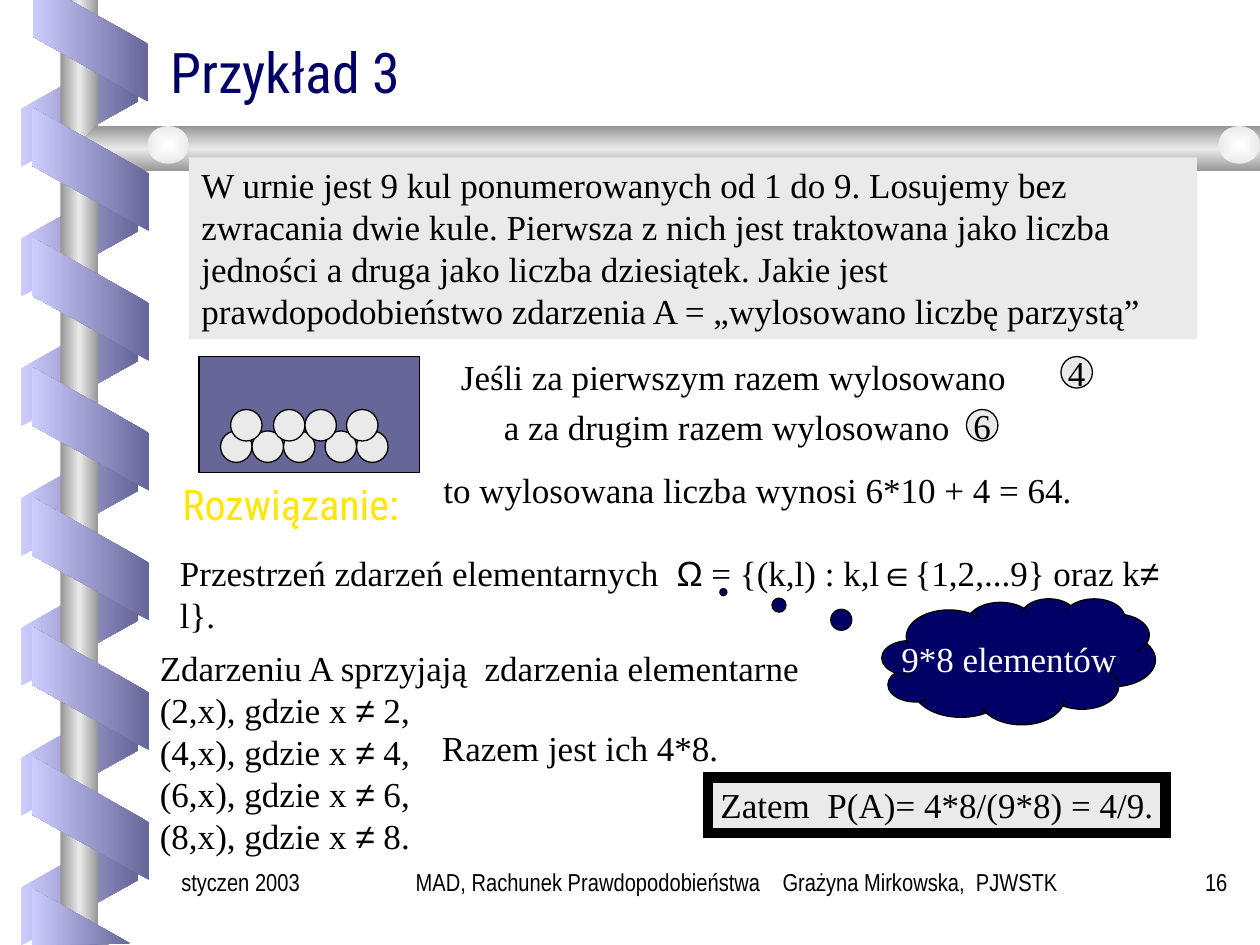
from dataclasses import dataclass
from itertools import groupby

from pptx import Presentation
from pptx.dml.color import RGBColor
from pptx.enum.shapes import MSO_SHAPE as Preset
from pptx.enum.text import MSO_ANCHOR as Anchor, PP_ALIGN as Align
from pptx.oxml import parse_xml
from pptx.oxml.ns import nsdecls, qn
from pptx.util import Inches, Pt


@dataclass(frozen=True)
class Theme:
    navy: str = "000066"
    black: str = "000000"
    white: str = "FFFFFF"
    pale: str = "EAEAEA"
    violet: str = "666699"
    lilac: str = "CCCCFF"
    steel: str = "969696"
    pearl: str = "FEFFFF"
    yellow: str = "FFE701"
    serif: str = "Times New Roman"
    symbol: str = "Arial"
    heading: str = "Roboto Condensed"
    footer: str = "Arial Narrow"
    title_size: int = 32
    subtitle_size: int = 24
    body_size: int = 20
    footer_size: int = 14


THEME = Theme()
SYMBOLS = "Ω∈≠"


def write_text(frame, text, size=THEME.body_size, font=THEME.serif, color=THEME.black,
               align=Align.LEFT, anchor=Anchor.TOP, wrap=True, spacing=None):
    frame.word_wrap = wrap
    frame.vertical_anchor = anchor
    paragraph = frame.paragraphs[0]
    paragraph.alignment = align
    if spacing:
        paragraph.line_spacing = spacing
    for index, line in enumerate(text.split("\n")):
        if index:
            paragraph.add_line_break()
        for is_symbol, letters in groupby(line, key=lambda letter: letter in SYMBOLS):
            run = paragraph.add_run()
            run.text = "".join(letters)
            run.font.size = Pt(size)
            run.font.name = THEME.symbol if is_symbol else font
            run.font.color.rgb = RGBColor.from_string(color)


class SlideBuilder:
    def __init__(self, slide, theme):
        self.slide = slide
        self.theme = theme

    def group(self):
        return self.slide.shapes.add_group_shape()

    def finish(self, shape, fill, line_width=0):
        shape.shadow.inherit = False
        shape.fill.solid()
        shape.fill.fore_color.rgb = RGBColor.from_string(fill)
        if line_width:
            shape.line.color.rgb = RGBColor.from_string(self.theme.black)
            shape.line.width = Pt(line_width)
            shape._element.spPr.find(qn("a:ln")).append(
                parse_xml(f'<a:miter {nsdecls("a")} lim="800000"/>'))
        else:
            shape.line.fill.background()
        return shape

    def gradient(self, shape, colors, angle=None):
        last = len(colors) - 1
        stops = "".join(
            f'<a:gs pos="{index * 100000 // last}"><a:srgbClr val="{color}"/></a:gs>'
            for index, color in enumerate(colors))
        if angle is None:
            shade = ('<a:path path="rect"><a:fillToRect l="50000" t="50000" '
                     'r="50000" b="50000"/></a:path>')
        else:
            shade = f'<a:lin ang="{angle * 60000}" scaled="1"/>'
        properties = shape._element.spPr
        properties.replace(properties.find(qn("a:solidFill")), parse_xml(
            f'<a:gradFill {nsdecls("a")} rotWithShape="0">'
            f'<a:gsLst>{stops}</a:gsLst>{shade}</a:gradFill>'))

    def shape(self, preset, left, top, width, height, fill, line_width=0, parent=None):
        shapes = (parent or self.slide).shapes
        shape = shapes.add_shape(preset, Inches(left), Inches(top),
                                 Inches(width), Inches(height))
        return self.finish(shape, fill, line_width)

    def outline(self, points, fill, parent=None):
        corners = [(Inches(x), Inches(y)) for x, y in points]
        builder = (parent or self.slide).shapes.build_freeform(*corners[0])
        builder.add_line_segments(corners[1:], close=True)
        return self.finish(builder.convert_to_shape(), fill)

    def ribbon(self, left, top, rotation, colors, parent, flipped=False):
        shape = self.shape(Preset.PARALLELOGRAM, left, top, 0.98, 0.93, colors[0],
                           parent=parent)
        shape.adjustments[0] = 0.56
        shape.rotation = rotation
        if flipped:
            shape._element.spPr.xfrm.set("flipH", "1")
        self.gradient(shape, colors, 180)

    def ball(self, left, top, parent=None):
        return self.shape(Preset.OVAL, left, top, 0.25, 0.25, self.theme.pale, 0.75, parent)

    def text(self, text, left, top, width, height, **style):
        box = self.slide.shapes.add_textbox(Inches(left), Inches(top),
                                            Inches(width), Inches(height))
        write_text(box.text_frame, text, **style)

    def title(self, text, left, top, width, height, **style):
        title = self.slide.shapes.title
        title.left, title.top = Inches(left), Inches(top)
        title.width, title.height = Inches(width), Inches(height)
        write_text(title.text_frame, text, **style)


def draw_background(builder):
    theme = builder.theme
    metal = (theme.steel, theme.pale, theme.steel)
    front_colors = (theme.violet, theme.lilac)
    step = 1.03

    back = builder.group()
    for index in range(7):
        builder.ribbon(0.14, 0.37 + index * step, 90, front_colors[::-1], back, flipped=True)

    pole = builder.shape(Preset.RECTANGLE, 0.48, 0, 0.3, 7.5, theme.steel)
    builder.gradient(pole, metal, 180)
    bar = builder.outline([(10, 1), (0.76, 1), (0.6, 1.18), (0.76, 1.36), (10, 1.36)],
                          theme.steel)
    builder.gradient(bar, metal, 90)
    for left in (1.17, 9.67):
        knob = builder.shape(Preset.OVAL, left, 1, 0.33, 0.3, theme.pale)
        builder.gradient(knob, (theme.pearl, theme.pale))

    front = builder.group()
    for index in range(6):
        builder.ribbon(0.23, 0.88 + index * step, 270, front_colors, front)
    ribbon_ends = (
        [(0.26, 0), (0.26, 0.29), (1.18, 0.81), (1.18, 0.35), (0.55, 0)],
        [(1.04, 7.49), (0.25, 7.05), (0.25, 7.5)],
    )
    for points in ribbon_ends:
        builder.gradient(builder.outline(points, theme.violet, front), front_colors, 180)


def draw_urn(builder):
    urn = builder.group()
    builder.shape(Preset.RECTANGLE, 1.58, 2.83, 1.75, 0.92, builder.theme.violet, 0.75, urn)
    rows = {3.42: (1.75, 2, 2.25, 2.58, 2.83), 3.25: (1.83, 2.17, 2.42, 2.75)}
    for top, lefts in rows.items():
        for left in lefts:
            builder.ball(left, top, urn)
    for digit, left, top in (("4", 8.42, 2.83), ("6", 7.67, 3.25)):
        write_text(builder.ball(left, top).text_frame, digit, align=Align.CENTER,
                   anchor=Anchor.MIDDLE, wrap=False)


def draw_content(builder):
    theme = builder.theme
    builder.title("Przykład 3", 1.25, 0.25, 8.5, 0.63, size=theme.title_size,
                  font=theme.heading, color=theme.navy, anchor=Anchor.BOTTOM, spacing=0.8)
    task = builder.shape(Preset.RECTANGLE, 1.5, 1.25, 8, 1.44, theme.pale)
    write_text(task.text_frame,
               "W urnie jest 9 kul ponumerowanych od 1 do 9. Losujemy bez zwracania dwie kule. "
               "Pierwsza z nich jest traktowana jako liczba jedności a druga jako liczba "
               "dziesiątek. Jakie jest prawdopodobieństwo zdarzenia A = "
               "„wylosowano liczbę parzystą”")
    draw_urn(builder)
    builder.text("Jeśli za pierwszym razem wylosowano", 3.56, 2.77, 4.61, 0.44)
    builder.text("a za drugim razem wylosowano", 3.9, 3.17, 3.76, 0.44)
    builder.text("to wylosowana liczba wynosi 6*10 + 4 = 64.", 3.42, 3.67, 5.25, 0.44)
    builder.text("Przestrzeń zdarzeń elementarnych  Ω = {(k,l) : k,l∈{1,2,...9} oraz k≠ l}.",
                 1.33, 4.33, 8.25, 0.77)

    cloud = builder.shape(Preset.CLOUD_CALLOUT, 7, 4.75, 2.17, 1, theme.navy, 0.75)
    cloud.adjustments[0], cloud.adjustments[1] = -1.08, -0.55
    write_text(cloud.text_frame, "9*8 elementów", color=theme.white, align=Align.CENTER,
               anchor=Anchor.MIDDLE, wrap=False)

    cases = ",\n".join(f"({digit},x), gdzie x ≠ {digit}" for digit in (2, 4, 6, 8))
    builder.text(f"Zdarzeniu A sprzyjają  zdarzenia elementarne {cases}.", 1.17, 5.08, 5.33, 1.77)
    builder.text("Razem jest ich 4*8.", 3.41, 5.72, 2.7, 0.44)
    result = builder.shape(Preset.RECTANGLE, 5.62, 6.17, 3.63, 0.44, theme.pale, 6)
    write_text(result.text_frame, "Zatem  P(A)= 4*8/(9*8) = 4/9.", wrap=False)
    builder.text("Rozwiązanie:", 1.35, 3.75, 2.2, 0.58, size=theme.subtitle_size,
                 font=theme.heading, color=theme.yellow)

    footers = (
        ("MAD, Rachunek Prawdopodobieństwa    Grażyna Mirkowska,  PJWSTK",
         2.56, 6.58, Align.CENTER),
        ("16", 9, 0.84, Align.RIGHT),
        ("styczen 2003", 1.34, 1.41, Align.LEFT),
    )
    for text, left, width, align in footers:
        builder.text(text, left, 6.83, width, 0.5, size=theme.footer_size,
                     font=theme.footer, align=align)


def main():
    presentation = Presentation()
    presentation.slide_width, presentation.slide_height = Inches(10), Inches(7.5)
    slide = presentation.slides.add_slide(presentation.slide_layouts[5])
    builder = SlideBuilder(slide, THEME)
    draw_background(builder)
    draw_content(builder)
    presentation.save("out.pptx")


if __name__ == "__main__":
    main()
